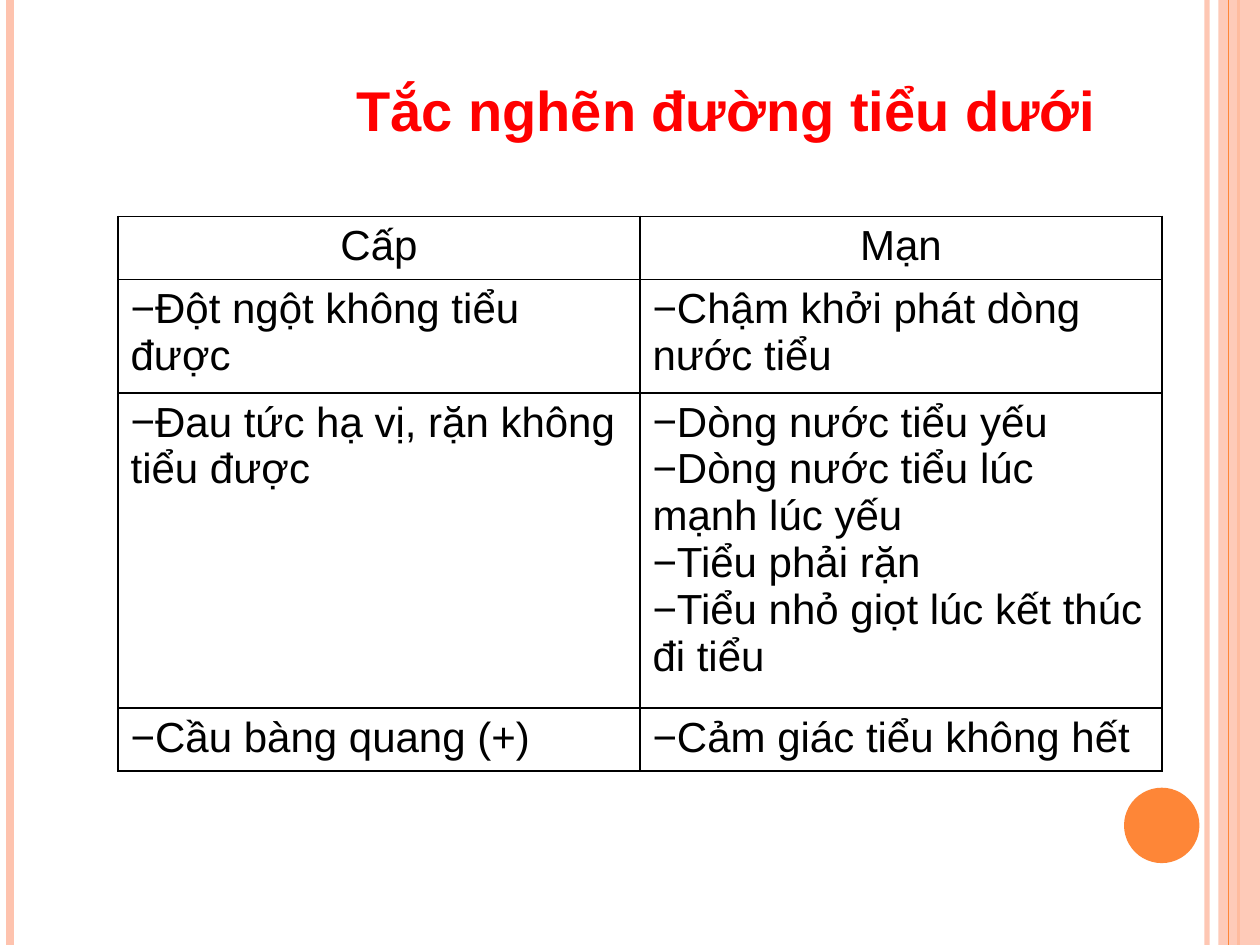
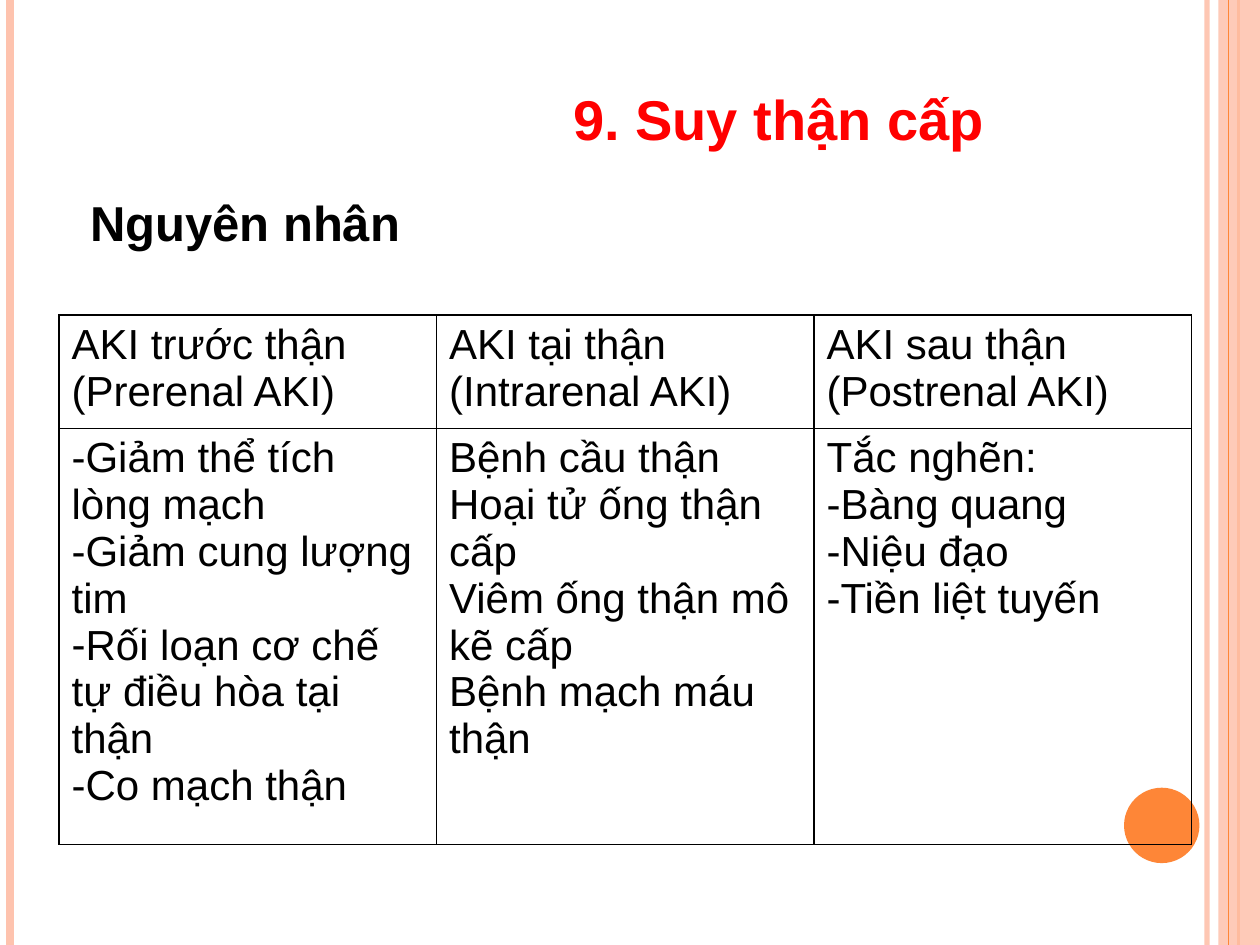
from dataclasses import dataclass

from lxml import etree
from pptx import Presentation, oxml, util as u
from pptx.dml.color import RGBColor
from pptx.enum import shapes, text
from pptx.oxml.ns import qn
from pptx.slide import Slide, SlideLayout
from pptx.util import Cm


@dataclass(frozen=True)
class Theme:
    font: str = "Arial"
    red: str = "FF0000"
    black: str = "000000"
    peach: str = "FEC3AE"
    orange: str = "FE8637"
    title_size: int = 32
    subtitle_size: int = 28
    table_size: int = 24
    border_width: float = 1


@dataclass(frozen=True)
class Box:
    left: float
    top: float
    width: float
    height: float


@dataclass(frozen=True)
class Stripe:
    x: float
    color: str
    weight: float
    opacity: int = 100


@dataclass(frozen=True)
class Line:
    text: str
    bullet: str = ""
    centered: bool = False


@dataclass(frozen=True)
class Grid:
    left: float
    top: float
    column_width: float
    row_height: float
    rows: list[list[list[Line]]]


THEME = Theme()
SLIDE_WIDTH, SLIDE_HEIGHT = 25.4, 19.05
STRIPES_BEHIND_BAND = [
    Stripe(24.33, THEME.peach, 3, 93),
    Stripe(0.21, THEME.peach, 4.5),
    Stripe(24.97, THEME.orange, 1.5),
]
STRIPE_OVER_BAND = Stripe(24.77, THEME.orange, 0.75)
BAND = Box(24.56, 0, 0.84, SLIDE_HEIGHT)
DISC = Box(22.66, 15.88, 1.52, 1.52)


def plain(*texts: str) -> list[Line]:
    return [Line(item) for item in texts]


def listed(bullet: str, *texts: str) -> list[Line]:
    return [Line(item, bullet) for item in texts]


LOWER_TRACT_GRID = Grid(2.38, 4.36, 10.52, 1.04, [
    [[Line("Cấp", centered=True)], [Line("Mạn", centered=True)]],
    [listed("−", "Đột ngột không tiểu được"),
     listed("−", "Chậm khởi phát dòng nước tiểu")],
    [listed("−", "Đau tức hạ vị, rặn không tiểu được"),
     listed("−", "Dòng nước tiểu yếu", "Dòng nước tiểu lúc mạnh lúc yếu",
            "Tiểu phải rặn", "Tiểu nhỏ giọt lúc kết thúc đi tiểu")],
    [listed("−", "Cầu bàng quang (+)"),
     listed("−", "Cảm giác tiểu không hết")],
])

KIDNEY_INJURY_GRID = Grid(1.19, 6.35, 7.61, 1.04, [
    [plain("AKI trước thận", "(Prerenal AKI)"),
     plain("AKI tại thận", "(Intrarenal AKI)"),
     plain("AKI sau thận", "(Postrenal AKI)")],
    [listed("-", "Giảm thể tích lòng mạch", "Giảm cung lượng tim",
            "Rối loạn cơ chế tự điều hòa tại thận", "Co mạch thận"),
     plain("Bệnh cầu thận", "Hoại tử ống thận cấp",
           "Viêm ống thận mô kẽ cấp", "Bệnh mạch máu thận"),
     plain("Tắc nghẽn:") + listed("-", "Bàng quang", "Niệu đạo", "Tiền liệt tuyến")],
])


# Formatting helpers
def set_font(paragraph, size: float, color: str, bold: bool = False) -> None:
    font = paragraph.font
    font.name, font.size, font.bold = THEME.font, u.Pt(size), bold
    font.color.rgb = RGBColor.from_string(color)


def set_opacity(shape, percent: int) -> None:
    color = next(shape.element.spPr.iter(qn("a:srgbClr")))
    etree.SubElement(color, qn("a:alpha"), val=str(percent * 1000))


def set_bullet(paragraph, character: str) -> None:
    properties = paragraph._p.get_or_add_pPr()
    properties.set("marL", "0")
    properties.set("indent", "0")
    etree.SubElement(properties, qn("a:buFont"), typeface=THEME.font)
    etree.SubElement(properties, qn("a:buChar"), char=character)


def set_borders(cell) -> None:
    properties = cell._tc.get_or_add_tcPr()
    for side in ("lnL", "lnR", "lnT", "lnB"):
        border = etree.SubElement(properties, qn(f"a:{side}"),
                                  w=str(u.Pt(THEME.border_width)))
        fill = etree.SubElement(border, qn("a:solidFill"))
        etree.SubElement(fill, qn("a:srgbClr"), val=THEME.black)


# Shared decoration
def draw_stripe(slide: Slide, stripe: Stripe):
    x = Cm(stripe.x)
    line = slide.shapes.add_connector(
        shapes.MSO_CONNECTOR.STRAIGHT, x, Cm(0), x, Cm(SLIDE_HEIGHT))
    line.line.color.rgb = RGBColor.from_string(stripe.color)
    line.line.width = u.Pt(stripe.weight)
    if stripe.opacity < 100:
        set_opacity(line, stripe.opacity)
    etree.SubElement(line.element.spPr, qn("a:effectLst"))
    return line


def draw_shape(slide: Slide, kind, box: Box, color: str):
    shape = slide.shapes.add_shape(
        kind, Cm(box.left), Cm(box.top), Cm(box.width), Cm(box.height))
    shape.shadow.inherit = False
    shape.fill.solid()
    shape.fill.fore_color.rgb = RGBColor.from_string(color)
    shape.line.fill.background()
    return shape


def decorate_layout(slide: Slide, layout: SlideLayout) -> None:
    """Draw the side bands on a slide, then hand them to its layout."""
    decoration = [draw_stripe(slide, stripe) for stripe in STRIPES_BEHIND_BAND]
    band = draw_shape(slide, shapes.MSO_SHAPE.RECTANGLE, BAND, THEME.peach)
    set_opacity(band, 87)
    decoration += [
        band,
        draw_stripe(slide, STRIPE_OVER_BAND),
        draw_shape(slide, shapes.MSO_SHAPE.OVAL, DISC, THEME.orange),
    ]
    for shape in decoration:
        layout.shapes.element.append(shape.element)


# Slide content
def fill_heading(shape, box: Box, wording: str, size: float, color: str) -> None:
    shape.left, shape.top = Cm(box.left), Cm(box.top)
    shape.width, shape.height = Cm(box.width), Cm(box.height)
    frame = shape.text_frame
    frame.word_wrap = True
    frame.auto_size = text.MSO_AUTO_SIZE.SHAPE_TO_FIT_TEXT
    frame.vertical_anchor = text.MSO_ANCHOR.TOP
    paragraph = frame.paragraphs[0]
    paragraph.text = wording
    paragraph.alignment = text.PP_ALIGN.LEFT
    set_font(paragraph, size, color, bold=True)


def add_title(slide: Slide, box: Box, wording: str) -> None:
    fill_heading(slide.shapes.title, box, wording, THEME.title_size, THEME.red)


def add_subtitle(slide: Slide, box: Box, wording: str) -> None:
    textbox = slide.shapes.add_textbox(0, 0, 0, 0)
    fill_heading(textbox, box, wording, THEME.subtitle_size, THEME.black)


def fill_cell(cell, lines: list[Line]) -> None:
    set_borders(cell)
    cell.fill.background()
    frame = cell.text_frame
    for index, line in enumerate(lines):
        paragraph = frame.add_paragraph() if index else frame.paragraphs[0]
        paragraph.text = line.text
        if line.centered:
            paragraph.alignment = text.PP_ALIGN.CENTER
        if line.bullet:
            set_bullet(paragraph, line.bullet)
        set_font(paragraph, THEME.table_size, THEME.black)


def add_grid(slide: Slide, grid: Grid) -> None:
    row_count, column_count = len(grid.rows), len(grid.rows[0])
    table = slide.shapes.add_table(
        row_count, column_count, Cm(grid.left), Cm(grid.top),
        Cm(grid.column_width * column_count), Cm(grid.row_height * row_count)).table
    table.first_row = table.horz_banding = False
    for column in table.columns:
        column.width = Cm(grid.column_width)
    for row, contents in zip(table.rows, grid.rows):
        row.height = Cm(grid.row_height)
        for cell, lines in zip(row.cells, contents):
            fill_cell(cell, lines)


def main() -> None:
    presentation = Presentation()
    presentation.slide_width = Cm(SLIDE_WIDTH)
    presentation.slide_height = Cm(SLIDE_HEIGHT)
    title_only = presentation.slide_layouts.get_by_name("Title Only")

    # Lower urinary tract obstruction
    slide = presentation.slides.add_slide(title_only)
    decorate_layout(slide, title_only)
    add_grid(slide, LOWER_TRACT_GRID)
    add_title(slide, Box(6.93, 1.4, 16.87, 1.63), "Tắc nghẽn đường tiểu dưới")

    # Acute kidney injury
    slide = presentation.slides.add_slide(title_only)
    add_grid(slide, KIDNEY_INJURY_GRID)
    add_title(slide, Box(11.3, 1.57, 13.49, 1.63), "9. Suy thận cấp")
    add_subtitle(slide, Box(1.57, 3.76, 9.93, 1.45), "Nguyên nhân")

    presentation.save("out.pptx")


if __name__ == "__main__":
    main()
